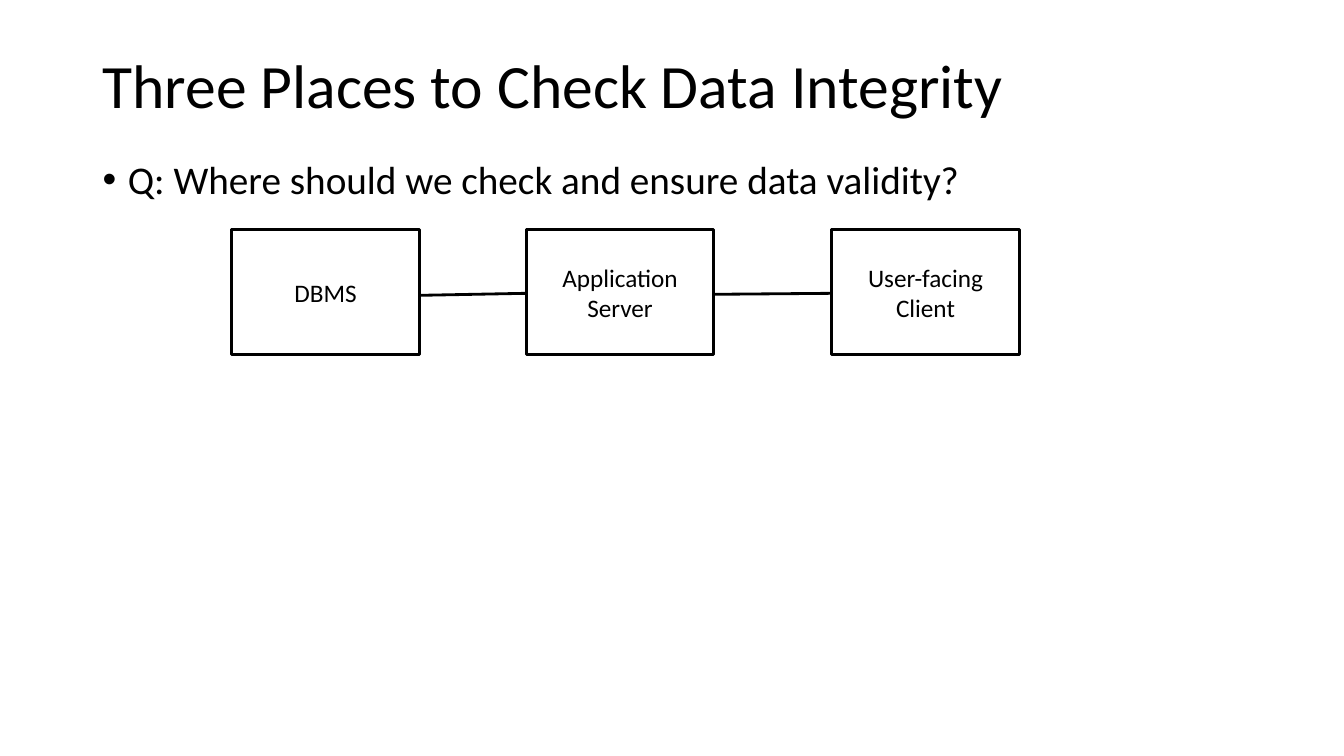
from lxml.etree import SubElement
from pptx import Presentation
from pptx.dml.color import RGBColor
from pptx.enum.shapes import MSO_CONNECTOR, MSO_SHAPE
from pptx.enum.text import MSO_ANCHOR, PP_ALIGN
from pptx.oxml.ns import qn
from pptx.util import Emu, Pt

PX = 9144  # EMU per px, 100 px to the inch
FONT = "Calibri"
COLORS = {"ink": "000000", "paper": "FFFFFF"}

BOX_TOP, BOX_W, BOX_H = 228, 186, 124
BOXES = [(230, "DBMS"), (522, "Application Server"), (825, "User-facing\nClient")]
LINKS = [(416, 293, 522, 291), (709, 292, 825, 291)]


def px(*lengths):
    return [Emu(n * PX) for n in lengths]


def color(name):
    return RGBColor.from_string(COLORS[name])


def write(tf, text, size, anchor, align):
    tf.word_wrap = True
    tf.vertical_anchor = anchor
    tf.text = text
    for p in tf.paragraphs:
        p.alignment = align
        for r in p.runs:
            r.font.size = Pt(size)
            r.font.name = FONT
            r.font.color.rgb = color("ink")


def add_text(slide, x, y, w, h, text, size, anchor):
    tf = slide.shapes.add_textbox(*px(x, y, w, h)).text_frame
    write(tf, text, size, anchor, PP_ALIGN.LEFT)
    p = tf.paragraphs[0]
    p.line_spacing = 0.9
    return p


def add_bullet(p, indent):
    p.space_before = Pt(10)
    pPr = p._p.get_or_add_pPr()
    pPr.set("marL", str(indent * PX))
    pPr.set("indent", str(-indent * PX))
    SubElement(pPr, qn("a:buFont"), typeface="Arial")
    SubElement(pPr, qn("a:buChar"), char="•")


def style_line(line):
    line.color.rgb = color("ink")
    line.width = Pt(2)


def add_box(slide, x, text):
    sp = slide.shapes.add_shape(MSO_SHAPE.RECTANGLE, *px(x, BOX_TOP, BOX_W, BOX_H))
    sp.shadow.inherit = False
    sp.fill.solid()
    sp.fill.fore_color.rgb = color("paper")
    style_line(sp.line)
    write(sp.text_frame, text, 18, MSO_ANCHOR.MIDDLE, PP_ALIGN.CENTER)


def add_link(slide, *ends):
    link = slide.shapes.add_connector(MSO_CONNECTOR.STRAIGHT, *px(*ends))
    style_line(link.line)
    SubElement(link._element.spPr, qn("a:effectLst"))


def main():
    prs = Presentation()
    prs.slide_width, prs.slide_height = px(1333, 750)
    slide = prs.slides.add_slide(prs.slide_layouts[6])

    # Title and question
    add_text(slide, 92, 33, 1150, 109, "Three Places to Check Data Integrity",
             44, MSO_ANCHOR.MIDDLE)
    question = add_text(slide, 92, 154, 1150, 522,
                        "Q: Where should we check and ensure data validity?",
                        28, MSO_ANCHOR.TOP)
    add_bullet(question, 25)

    # Tiers and the links between them
    for x, text in BOXES:
        add_box(slide, x, text)
    for ends in LINKS:
        add_link(slide, *ends)

    prs.save("out.pptx")


if __name__ == "__main__":
    main()
